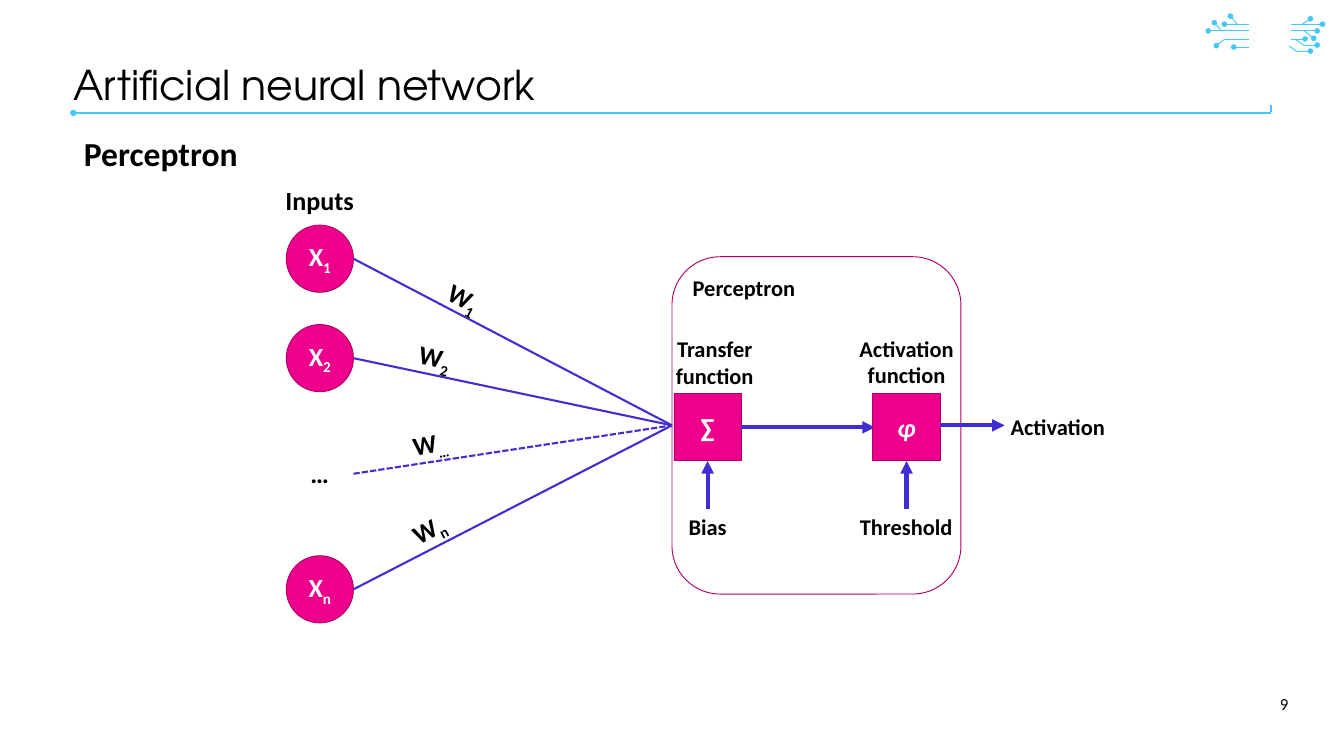
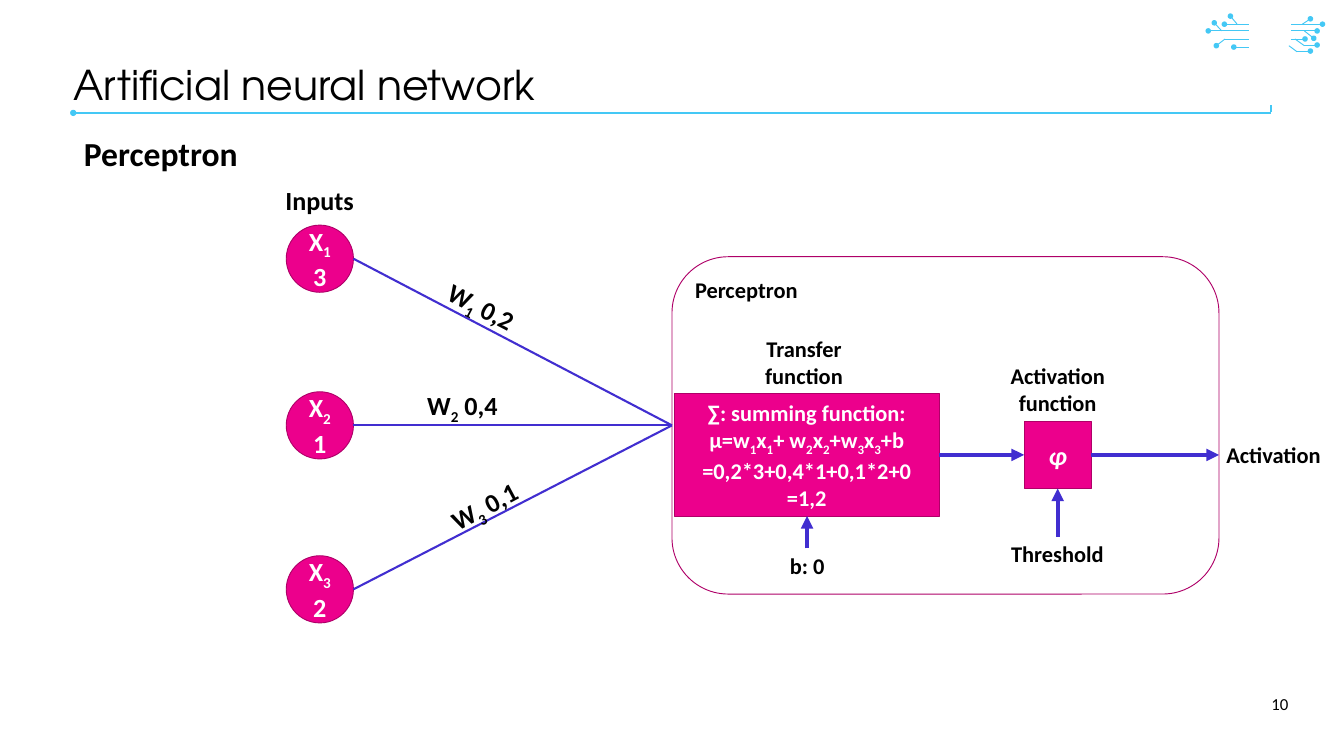
from dataclasses import dataclass

from lxml import etree
from pptx import Presentation
from pptx.dml.color import RGBColor
from pptx.enum import dml, shapes, text
from pptx.oxml.ns import qn
from pptx.util import Pt

PX = 9144  # EMU, 100 px to the inch


@dataclass(frozen=True)
class Theme:
    heading_font: str = "TeX Gyre Adventor"
    body_font: str = "Calibri"
    ink: str = "000000"
    paper: str = "FFFFFF"
    circuit: str = "44C8F5"
    node: str = "EC008C"
    outline: str = "AF0068"
    arrow: str = "412ED0"
    title_size: int = 44
    subtitle_size: int = 36
    symbol_size: int = 28
    label_size: int = 24
    number_size: int = 18
    hairline: float = 1
    medium: float = 2.25
    thick: float = 4.5


THEME = Theme()
LEFT, CENTER, RIGHT = text.PP_ALIGN.LEFT, text.PP_ALIGN.CENTER, text.PP_ALIGN.RIGHT
MIDDLE = text.MSO_ANCHOR.MIDDLE
ELLIPSE = shapes.MSO_SHAPE.OVAL
RECTANGLE = shapes.MSO_SHAPE.RECTANGLE
ROUNDED = shapes.MSO_SHAPE.ROUNDED_RECTANGLE

# Start x, start y, end x, end y of each circuit trace
DOTTED_TRACES = [
    (1858, 36, 1822, 36), (1858, 46, 1798, 46), (1823, 58, 1810, 68),
    (1858, 70, 1836, 70), (1841, 36, 1831, 24), (1818, 46, 1807, 34),
    (1921, 46, 1960, 46), (1940, 67, 1960, 67), (1921, 58, 1942, 58),
    (1941, 46, 1955, 57), (1921, 36, 1968, 36), (1930, 76, 1950, 76),
    (1938, 36, 1950, 28),
]
PLAIN_TRACES = [(1858, 58, 1822, 58), (1941, 68, 1927, 58), (1930, 77, 1918, 68)]

INPUT_LEFT, INPUT_SIZE = 426, 100
FRAME_LEFT, FRAME_TOP, FRAME_HEIGHT = 1000, 382, 502
SUM_LEFT, SUM_TOP = 1003, 586
JUNCTION = (FRAME_LEFT, 633)


def rgb(color):
    return RGBColor.from_string(color)


def px(*lengths):
    return [length * PX for length in lengths]


class Deck:
    def __init__(self, theme):
        self.theme = theme
        self.presentation = Presentation()
        self.presentation.slide_width, self.presentation.slide_height = px(2000, 1125)
        self.slide = None

    def fill_text(self, frame, content, size, color, align=LEFT, font=None, italic=False, bold=True):
        """Fill a text frame; the parts between | marks are subscripts."""
        for index, line in enumerate(content.split("\n")):
            paragraph = frame.add_paragraph() if index else frame.paragraphs[0]
            paragraph.alignment = align
            for order, piece in enumerate(line.split("|")):
                for row, words in enumerate(piece.split("\v")):
                    if row:
                        paragraph.add_line_break()
                    if not words:
                        continue
                    run = paragraph.add_run()
                    run.text = words
                    run.font.name = font or self.theme.body_font
                    run.font.size = Pt(size)
                    run.font.bold, run.font.italic = bold, italic
                    run.font.color.rgb = rgb(color)
                    if order % 2:
                        run.font._element.set("baseline", "-25000")

    def text_box(self, box, content, size, **style):
        shape = self.slide.shapes.add_textbox(*px(*box))
        shape.text_frame.word_wrap = True
        self.fill_text(shape.text_frame, content, size, self.theme.ink, **style)
        return shape

    def label(self, box, content, size=None, align=CENTER, wrap=False, rotation=0):
        shape = self.text_box(box, content, size or self.theme.label_size, align=align)
        shape.text_frame.word_wrap = wrap
        shape.text_frame.auto_size = text.MSO_AUTO_SIZE.SHAPE_TO_FIT_TEXT
        shape.rotation = rotation

    def shape(self, kind, box, fill):
        shape = self.slide.shapes.add_shape(kind, *px(*box))
        shape.shadow.inherit = False
        shape.fill.solid()
        shape.fill.fore_color.rgb = rgb(fill)
        shape.line.color.rgb = rgb(self.theme.outline)
        shape.line.width = Pt(self.theme.hairline)
        return shape

    def node(self, kind, box, content, size=None, italic=False):
        frame = self.shape(kind, box, self.theme.node).text_frame
        frame.vertical_anchor = MIDDLE
        self.fill_text(frame, content, size or self.theme.symbol_size, self.theme.paper,
                       align=CENTER, italic=italic)

    def line(self, points, color, width, head=None, tail=None, dashed=False):
        connector = self.slide.shapes.add_connector(shapes.MSO_CONNECTOR.STRAIGHT, *px(*points))
        connector.line.color.rgb = rgb(color)
        connector.line.width = Pt(width)
        if dashed:
            connector.line.dash_style = dml.MSO_LINE.SQUARE_DOT
        properties = connector._element.spPr
        outline = properties.find(qn("a:ln"))
        for tag, end in (("a:headEnd", head), ("a:tailEnd", tail)):
            if end:
                etree.SubElement(outline, qn(tag), type=end)
        etree.SubElement(properties, qn("a:effectLst"))
        return connector

    def arrow(self, *points):
        self.line(points, self.theme.arrow, self.theme.thick, tail="triangle")

    def circuit(self):
        color, width = self.theme.circuit, self.theme.hairline
        traces = [self.line(points, color, width, tail="oval") for points in DOTTED_TRACES]
        traces += [self.line(points, color, width) for points in PLAIN_TRACES]
        self.slide.shapes.add_group_shape(traces)

    def new_slide(self, title, subtitle, number):
        theme = self.theme
        self.slide = self.presentation.slides.add_slide(self.presentation.slide_layouts[6])
        self.circuit()
        self.line((109, 168, 1891, 168), theme.circuit, theme.medium, head="oval")
        self.line((1891, 167, 1891, 157), theme.circuit, theme.medium)
        body = self.text_box((115, 199, 1813, 668), subtitle, theme.subtitle_size)
        body.text_frame.paragraphs[0].line_spacing = 0.9
        page = self.text_box((1818, 1018, 109, 60), str(number), theme.number_size,
                             align=RIGHT, bold=False)
        page.text_frame.vertical_anchor = MIDDLE
        frame = self.text_box((109, 97, 1639, 69), title, theme.title_size,
                              font=theme.heading_font, bold=False).text_frame
        frame.margin_left = frame.margin_right = frame.margin_top = frame.margin_bottom = 0
        frame.paragraphs[0].line_spacing = 0.9

    def inputs(self, neurons):
        """Draw a column of (text, top) neurons under its heading."""
        for content, top in neurons:
            self.node(ELLIPSE, (INPUT_LEFT, top, INPUT_SIZE, INPUT_SIZE), content)
        self.label((415, 269, 123, 57), "Inputs", self.theme.symbol_size, LEFT)

    def perceptron_frame(self, width):
        frame = self.shape(ROUNDED, (FRAME_LEFT, FRAME_TOP, width, FRAME_HEIGHT),
                           self.theme.paper).text_frame
        frame.vertical_anchor = text.MSO_ANCHOR.TOP
        self.fill_text(frame, "Perceptron", self.theme.label_size, self.theme.ink)

    def weights(self, links):
        """Draw (start y, text, left, top, rotation, dashed) links to the junction."""
        for start, *_, dashed in links:
            self.line((INPUT_LEFT + INPUT_SIZE, start, *JUNCTION), self.theme.arrow,
                      self.theme.medium, dashed=dashed)
        for _, content, left, top, rotation, _ in links:
            self.label((left, top, 230, 57), content, self.theme.symbol_size, LEFT, True, rotation)

    def activation(self, left, top, incoming, outgoing, output_label):
        """Draw the activation box with its captions and arrows."""
        self.arrow(*incoming)
        self.node(RECTANGLE, (left, top, 100, 100), "φ", italic=True)
        self.label((left - 31, top - 93, 162, 91), "Activation\vfunction")
        self.label((left - 30, top + 172, 159, 50), "Threshold")
        self.arrow(left + 50, top + 172, left + 50, top + 100)
        self.arrow(*outgoing)
        self.label((*output_label, 162, 50), "Activation")


def general_slide(deck):
    deck.new_slide("Artificial neural network", "Perceptron", 9)
    deck.inputs([("X|1|", 335), ("X|2|", 483), ("X|n|", 827)])
    deck.label((452, 676, 48, 57), "…", deck.theme.symbol_size, LEFT)
    deck.perceptron_frame(430)
    deck.weights([
        (385, "W|1|", 648, 452, 27.6, False),
        (533, "W|2|", 612, 520, 12.1, False),
        (705, "W|…|", 603, 616, 349.3, True),
        (877, "W|n|", 594, 720, 332, False),
    ])
    deck.node(RECTANGLE, (SUM_LEFT, SUM_TOP, 100, 100), "∑")
    deck.label((995, 494, 137, 91), "Transfer\vfunction")
    deck.activation(1299, 586, (1103, 636, 1302, 636), (1399, 633, 1495, 633), (1493, 610))
    deck.label((1014, 758, 78, 50), "Bias")
    deck.arrow(1053, 758, 1053, 686)


def example_slide(deck):
    deck.new_slide("Artificial neural network", "Perceptron", 10)
    deck.inputs([("X|1|\v3", 335), ("X|2|\v1", 583), ("X|3|\v2", 827)])
    deck.perceptron_frame(814)
    deck.weights([
        (385, "W|1| 0,2", 648, 452, 27.6, False),
        (633, "W|2| 0,4", 626, 575, 0, False),
        (877, "W|3| 0,1", 652, 700, 332, False),
    ])
    deck.node(RECTANGLE, (SUM_LEFT, SUM_TOP, 395, 182),
              "∑: summing function:\vµ=w|1|x|1|+ w|2|x|2|+w|3|x|3|+b\n"
              "=0,2*3+0,4*1+0,1*2+0\n=1,2", deck.theme.label_size)
    deck.label((995, 494, 403, 91), "Transfer\vfunction", wrap=True)
    deck.activation(1524, 627, (1398, 677, 1524, 677), (1624, 677, 1814, 677), (1814, 651))
    deck.label((1165, 816, 72, 50), "b: 0")
    deck.arrow(1201, 816, 1201, 768)


def main():
    deck = Deck(THEME)
    general_slide(deck)
    example_slide(deck)
    deck.presentation.save("out.pptx")


if __name__ == "__main__":
    main()
